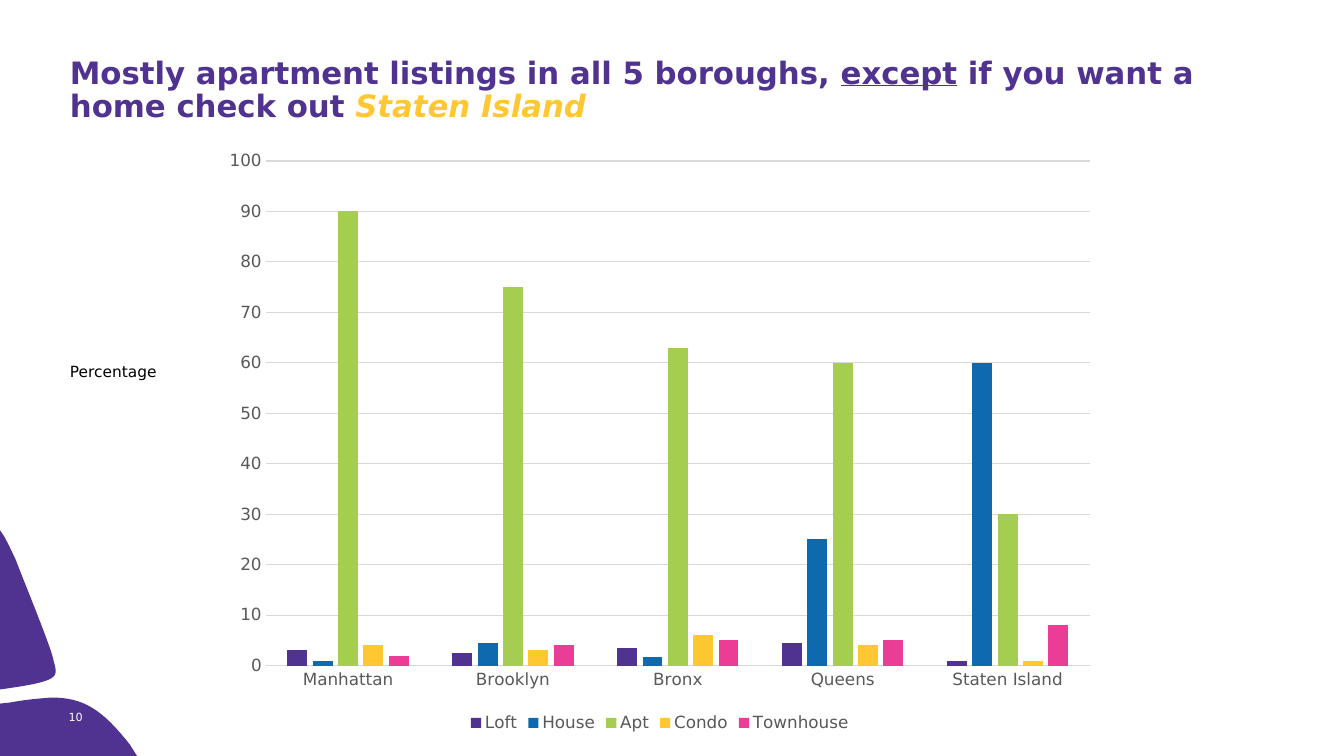
from pptx import Presentation
from pptx.chart.data import CategoryChartData
from pptx.dml.color import RGBColor
from pptx.enum.chart import XL_CHART_TYPE as ChartType, XL_LEGEND_POSITION as LegendSpot, XL_TICK_MARK as Tick
from pptx.enum.text import MSO_ANCHOR as Anchor
from pptx.util import Inches, Pt

PURPLE = RGBColor(0x50, 0x32, 0x91)
BLUE = RGBColor(0x0F, 0x69, 0xAF)
GREEN = RGBColor(0xA5, 0xCD, 0x50)
YELLOW = RGBColor(0xFF, 0xC8, 0x32)
PINK = RGBColor(0xEB, 0x3C, 0x96)
BLACK = RGBColor(0, 0, 0)
WHITE = RGBColor(0xFF, 0xFF, 0xFF)
GREY = RGBColor(0x59, 0x59, 0x59)
RULE = RGBColor(0xD9, 0xD9, 0xD9)

LOWER_PETAL = [
    [(3.83, 92.27)],
    [(6.15, 92.27), (7.57, 93.73), (9.68, 98.53)],
    [(10.2, 100)],
    [(0, 100)],
    [(0, 93.07)],
    [(0.75, 92.93)],
    [(1.95, 92.53), (2.92, 92.4), (3.83, 92.27)],
]
UPPER_PETAL = [
    [(0, 70.13)],
    [(0.3, 70.93)],
    [(0.6, 71.87), (0.83, 72.8), (1.13, 73.87)],
    [(1.73, 76.67), (3.83, 85.73), (3.98, 87.33)],
    [(4.2, 88.93), (4.43, 89.6), (3, 90.27)],
    [(2.48, 90.53), (1.58, 90.8), (0.53, 91.07)],
    [(0, 91.2)],
]
BOROUGHS = ["Manhattan", "Brooklyn", "Bronx", "Queens", "Staten Island"]
LISTINGS = [
    ("Loft", PURPLE, (3, 2.5, 3.5, 4.5, 1)),
    ("House", BLUE, (1, 4.4, 1.8, 25, 60)),
    ("Apt", GREEN, (90, 75, 63, 60, 30)),
    ("Condo", YELLOW, (4, 3, 6, 4, 1)),
    ("Townhouse", PINK, (2, 4, 5, 5, 8)),
]


def assign(target, values):
    for name, value in values.items():
        setattr(target, name, value)


def bezier(start, first, second, end, steps=16):
    for step in range(1, steps + 1):
        t = step / steps
        weights = ((1 - t) ** 3, 3 * t * (1 - t) ** 2, 3 * t * t * (1 - t), t ** 3)
        yield tuple(
            sum(w * v for w, v in zip(weights, axis))
            for axis in zip(start, first, second, end)
        )


class Deck:
    face = "DejaVu Sans"

    def __init__(self):
        self.show = Presentation()
        assign(self.show, {"slide_width": Inches(13.33), "slide_height": Inches(7.5)})
        self.slide = self.show.slides.add_slide(self.show.slide_layouts[6])

    def share(self, across, down):
        return (
            round(self.show.slide_width * across / 100),
            round(self.show.slide_height * down / 100),
        )

    def area(self, left, top, width, height):
        return *self.share(left, top), *self.share(width, height)

    def style(self, font, size, color, **extra):
        assign(font, {"name": self.face, "size": Pt(size), **extra})
        font.color.rgb = color

    def petal(self, segments):
        outline = list(segments[0])
        for segment in segments[1:]:
            outline += bezier(outline[-1], *segment) if len(segment) == 3 else segment
        start, *rest = [self.share(*point) for point in outline]
        builder = self.slide.shapes.build_freeform(*start)
        builder.add_line_segments(rest, close=True)
        petal = builder.convert_to_shape()
        petal.shadow.inherit = False
        petal.fill.solid()
        petal.fill.fore_color.rgb = PURPLE
        petal.line.fill.background()

    def text(self, area, runs, frame_format, paragraph_format):
        frame = self.slide.shapes.add_textbox(*self.area(*area)).text_frame
        margins = dict.fromkeys(("margin_left", "margin_top", "margin_right", "margin_bottom"), 0)
        assign(frame, {"word_wrap": True, **margins, **frame_format})
        paragraph = frame.paragraphs[0]
        assign(paragraph, paragraph_format)
        for words, size, color, extra in runs:
            run = paragraph.add_run()
            run.text = words
            self.style(run.font, size, color, **extra)

    def columns(self, area, categories, listings):
        data = CategoryChartData()
        data.categories = categories
        for name, _, shares in listings:
            data.add_series(name, shares)
        chart = self.slide.shapes.add_chart(
            ChartType.COLUMN_CLUSTERED, *self.area(*area), data
        ).chart
        self.style(chart.font, 10, BLACK)
        assign(chart, {"has_title": False, "has_legend": True})
        assign(chart.legend, {"position": LegendSpot.BOTTOM, "include_in_layout": False})
        self.style(chart.legend.font, 12, GREY)

        plot = chart.plots[0]
        assign(plot, {"gap_width": 219, "overlap": -27, "vary_by_categories": False})
        for series, (_, color, _) in zip(plot.series, listings):
            series.format.fill.solid()
            series.format.fill.fore_color.rgb = color

        borough_axis, percent_axis = chart.category_axis, chart.value_axis
        for axis in (borough_axis, percent_axis):
            assign(axis, {"major_tick_mark": Tick.NONE, "minor_tick_mark": Tick.NONE})
            self.style(axis.tick_labels.font, 12, GREY)
        assign(percent_axis, {
            "minimum_scale": 0, "maximum_scale": 100,
            "major_unit": 10, "has_major_gridlines": True,
        })
        percent_axis.format.line.fill.background()
        for rule in (borough_axis.format.line, percent_axis.major_gridlines.format.line):
            rule.color.rgb = RULE
            rule.width = Pt(0.75)


def main():
    deck = Deck()
    for petal in (LOWER_PETAL, UPPER_PETAL):
        deck.petal(petal)
    deck.text(
        (5.1, 93.07, 5.33, 3.2),
        [("10", 8, WHITE, {})],
        {"vertical_anchor": Anchor.BOTTOM, "margin_bottom": Inches(0.04)},
        {},
    )
    deck.text(
        (5.2, 15.73, 89.8, 5.33),
        [
            ("Mostly apartment listings in all 5 boroughs, ", 22, PURPLE, {"bold": True}),
            ("except", 22, PURPLE, {"bold": True, "underline": True}),
            (" if you want a home check out ", 22, PURPLE, {"bold": True}),
            ("Staten Island", 22, YELLOW, {"bold": True, "italic": True}),
        ],
        {"vertical_anchor": Anchor.BOTTOM, "margin_bottom": Inches(0.35)},
        {"line_spacing": Pt(24)},
    )
    deck.columns((15.75, 18.4, 66.69, 79.07), BOROUGHS, LISTINGS)
    deck.text(
        (5.2, 47.87, 7.2, 2.53),
        [("Percentage", 11, BLACK, {})],
        {},
        {"space_before": Pt(3), "space_after": Pt(3)},
    )
    deck.show.save("out.pptx")


if __name__ == "__main__":
    main()
